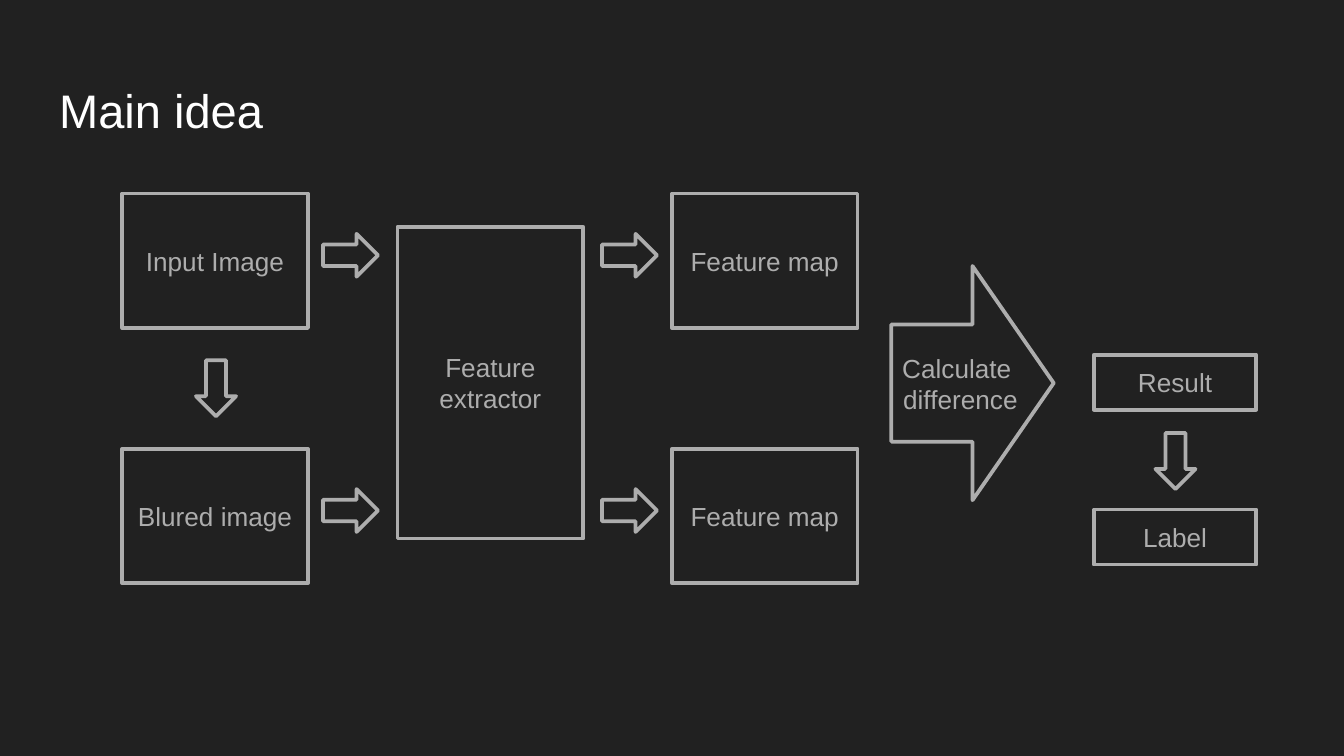
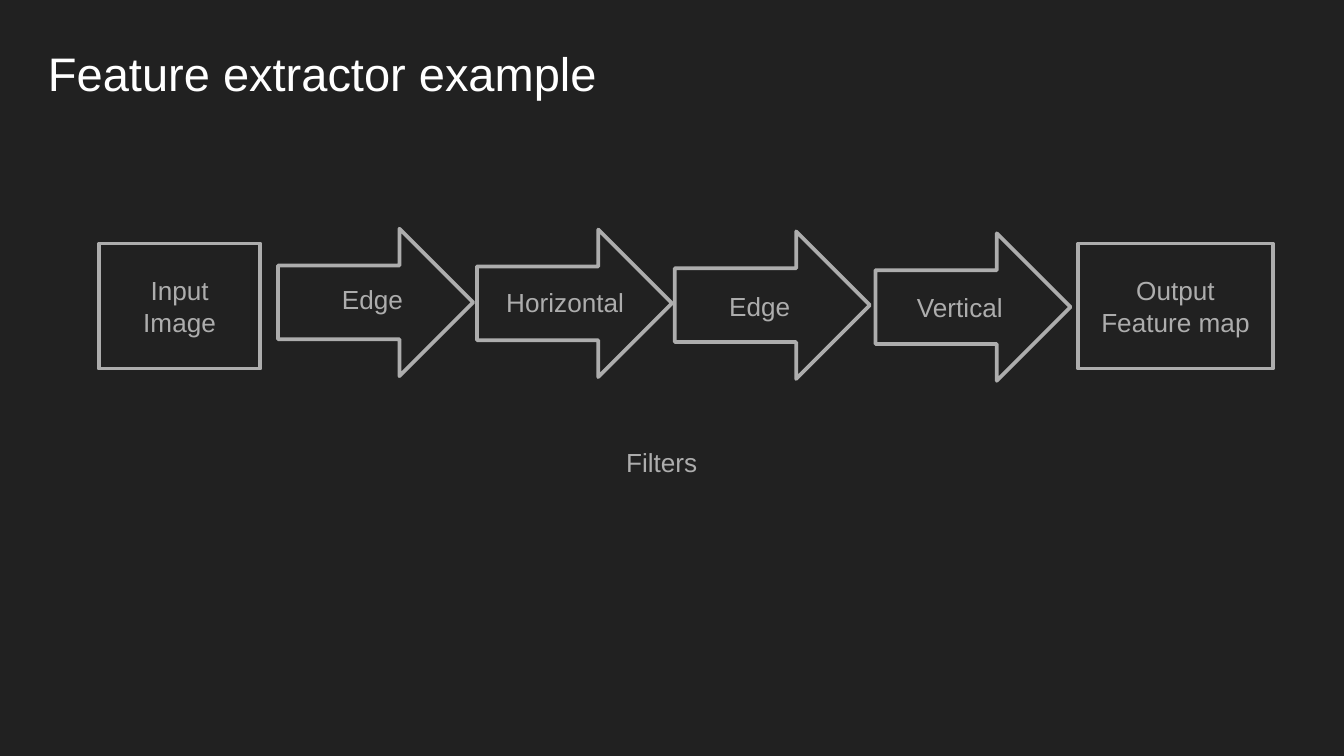
"""Build two dark slides that explain a feature-map comparison pipeline."""
from dataclasses import dataclass

from pptx import Presentation
from pptx import util as u
from pptx.dml.color import RGBColor
from pptx.enum import shapes, text

DARK = RGBColor(0x21, 0x21, 0x21)
GREY = RGBColor(0xAD, 0xAD, 0xAD)
WHITE = RGBColor(0xFF, 0xFF, 0xFF)
FONT = "Arial"

BOX = shapes.MSO_SHAPE.RECTANGLE
RIGHT = shapes.MSO_SHAPE.RIGHT_ARROW
DOWN = shapes.MSO_SHAPE.DOWN_ARROW


@dataclass(frozen=True)
class Rect:
    x: float
    y: float
    w: float
    h: float

    def lengths(self) -> tuple:
        return tuple(u.Pt(v) for v in (self.x, self.y, self.w, self.h))


@dataclass(frozen=True)
class Node:
    label: str
    at: Rect


@dataclass(frozen=True)
class Arrow:
    kind: shapes.MSO_SHAPE
    at: Rect


def write(tf, lines: str, size: float, colour: RGBColor, align) -> None:
    p = tf.paragraphs[0]
    p.alignment = align
    for i, line in enumerate(lines.split("\n")):
        if i:
            p.add_line_break()
        r = p.add_run()
        r.text = line
        r.font.name = FONT
        r.font.size = u.Pt(size)
        r.font.color.rgb = colour


def add_outline(s, kind: shapes.MSO_SHAPE, at: Rect):
    sp = s.shapes.add_shape(kind, *at.lengths())
    sp.shadow.inherit = False
    sp.fill.background()
    sp.line.color.rgb = GREY
    sp.line.width = u.Pt(2)
    return sp


def add_box(s, node: Node) -> None:
    sp = add_outline(s, BOX, node.at)
    sp.fill.solid()
    sp.fill.fore_color.rgb = DARK
    tf = sp.text_frame
    tf.word_wrap = True
    tf.vertical_anchor = text.MSO_ANCHOR.MIDDLE
    write(tf, node.label, 14, GREY, text.PP_ALIGN.CENTER)


def add_label(s, node: Node) -> None:
    tf = s.shapes.add_textbox(*node.at.lengths()).text_frame
    tf.word_wrap = True
    tf.auto_size = text.MSO_AUTO_SIZE.SHAPE_TO_FIT_TEXT
    write(tf, node.label, 14, GREY, text.PP_ALIGN.CENTER)


def add_slide(prs, title: Node, boxes: list[Node], arrows: list[Arrow], labels: list[Node]) -> None:
    s = prs.slides.add_slide(prs.slide_layouts[5])
    sp = s.shapes.title
    sp.left, sp.top, sp.width, sp.height = title.at.lengths()
    tf = sp.text_frame
    tf.margin_left = tf.margin_right = tf.margin_top = tf.margin_bottom = u.Pt(7.2)
    tf.vertical_anchor = text.MSO_ANCHOR.BOTTOM
    tf.auto_size = text.MSO_AUTO_SIZE.NONE
    write(tf, title.label, 25.2, WHITE, text.PP_ALIGN.LEFT)
    for node in boxes:
        add_box(s, node)
    for arrow in arrows:
        add_outline(s, arrow.kind, arrow.at)
    for node in labels:
        add_label(s, node)


def main_idea(prs) -> None:
    rows = (103.75, 240.5)
    columns = ((65.5, ("Input Image", "Blured image")),
               (360, ("Feature map", "Feature map")))
    boxes = [Node(label, Rect(x, y, 99.5, 72))
             for x, labels in columns for y, label in zip(rows, labels)]
    boxes.append(Node("Feature extractor", Rect(213, 121.5, 99.5, 167)))
    boxes += [Node(label, Rect(586, y, 87, 29.5))
              for label, y in (("Result", 190), ("Label", 273))]
    arrows = [Arrow(RIGHT, Rect(x, y + 21.5, 29.5, 23)) for x in (173, 322.5) for y in rows]
    arrows += [Arrow(DOWN, Rect(x, y, 21.5, 30)) for x, y in ((105, 193), (619, 232))]
    arrows.append(Arrow(RIGHT, Rect(477.5, 142.5, 87, 125.5)))
    labels = [Node("Calculate \ndifference", Rect(471, 185, 87, 41))]
    add_slide(prs, Node("Main idea", Rect(24.5, 35.5, 671, 45.5)), boxes, arrows, labels)


def extractor_example(prs) -> None:
    boxes = [Node("Input Image", Rect(53, 130.5, 86.5, 67)),
             Node("Output\nFeature map", Rect(577.5, 130.5, 104.5, 67))]
    arrows = [Arrow(RIGHT, Rect(x, y, 104.5, 79))
              for x, y in ((149, 122.5), (255.5, 123), (361.5, 124), (469, 125))]
    captions = (("Edge ", 159, 148.5, 85), ("Horizontal ", 247.5, 150, 114.5),
                ("Edge", 364.5, 152, 85), ("Vertical", 460, 152.5, 108.5),
                ("Filters", 90.5, 235.5, 528))
    labels = [Node(label, Rect(x, y, w, 24.5)) for label, x, y, w in captions]
    add_slide(prs, Node("Feature extractor example", Rect(18.5, 16, 671, 45.5)),
              boxes, arrows, labels)


def main() -> None:
    prs = Presentation()
    prs.slide_width, prs.slide_height = u.Pt(720), u.Pt(405)
    fill = prs.slide_master.background.fill
    fill.solid()
    fill.fore_color.rgb = DARK
    main_idea(prs)
    extractor_example(prs)
    prs.save("out.pptx")


if __name__ == "__main__":
    main()
